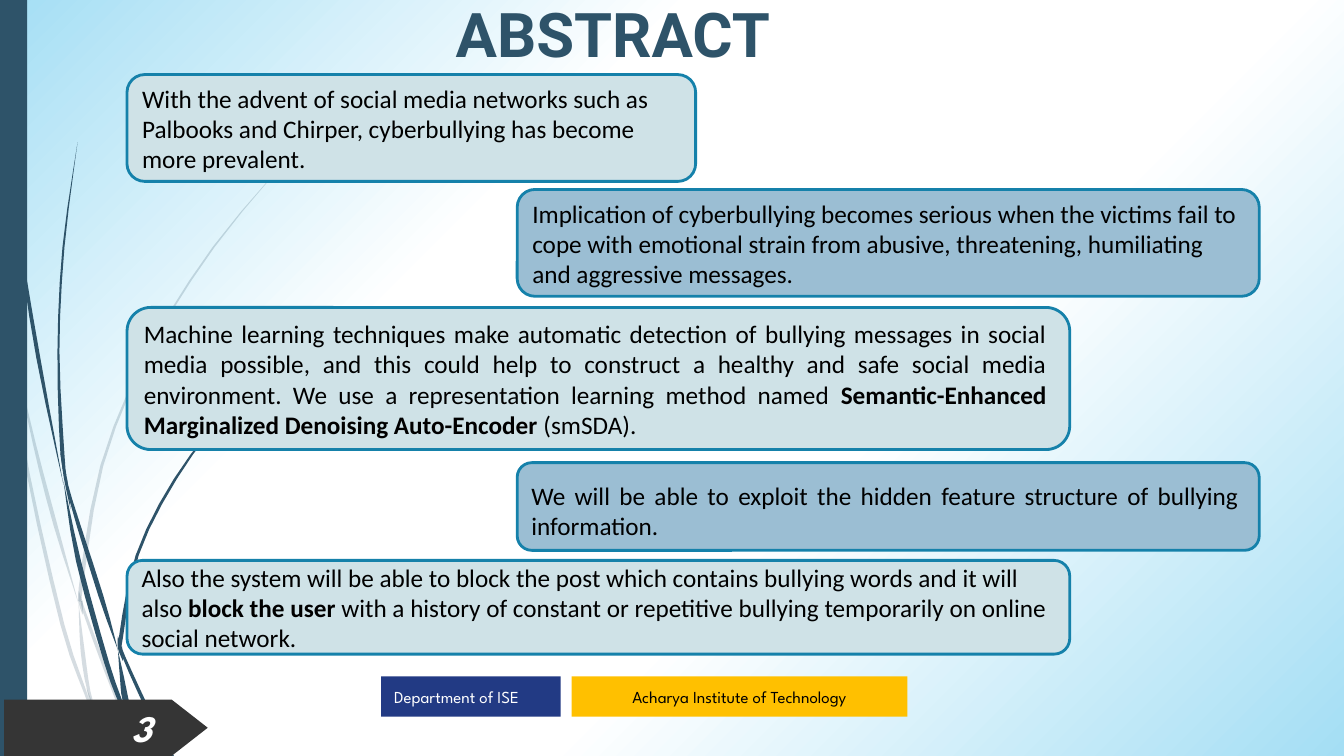
from pptx import Presentation
from pptx.dml.color import RGBColor
from pptx.enum.shapes import MSO_SHAPE
from pptx.enum.text import MSO_ANCHOR, MSO_AUTO_SIZE, PP_ALIGN
from pptx.oxml.ns import qn
from pptx.oxml.xmlchemy import OxmlElement
from pptx.util import Inches, Pt

SLATE = RGBColor(0x2E, 0x53, 0x69)
SKY = RGBColor(0xA4, 0xDE, 0xF4)
WHITE = RGBColor(0xFF, 0xFF, 0xFF)
BLACK = RGBColor(0, 0, 0)
PALE = RGBColor(0xCF, 0xE2, 0xE7)
STEEL = RGBColor(0x9B, 0xBE, 0xD3)
TEAL = RGBColor(0x15, 0x81, 0xAA)
GOLD = RGBColor(0xFF, 0xC0, 0x00)
NAVY = RGBColor(0x22, 0x3A, 0x84)
CHARCOAL = RGBColor(0x35, 0x35, 0x35)

WIDTH, HEIGHT = 13.33, 7.5
STEPS = 3  # line segments between two knots of a blade

# Blades of grass: knots of (centre x, y, horizontal width)
PALE_BLADES = [
    [(0, 2.82, 0), (0.04, 3.12, 0.03), (0.1, 3.5, 0)],
    [(0.13, 3.45, 0), (0.34, 4.4, 0.03), (0.55, 5.21, 0.04), (0.78, 5.99, 0)],
    [(0.82, 5.96, 0), (0.84, 6.08, 0.03), (1.16, 6.93, 0.04), (1.42, 7.5, 0.05)],
    [(0.97, 7.11, 0), (1.12, 7.5, 0.05)],
    [(0.1, 3.5, 0), (0.28, 4.7, 0.03), (0.62, 6.2, 0.04), (0.85, 6.88, 0.03), (0.94, 7.14, 0)],
    [(0.78, 5.99, 0), (0.82, 6.46, 0.04), (0.88, 6.85, 0.03), (0.97, 7.11, 0)],
    [(2.89, 1.53, 0), (2.12, 2.45, 0.02), (1.47, 3.49, 0.02), (1.01, 4.62, 0.03),
     (0.8, 5.84, 0.04), (0.82, 5.96, 0)],
    [(0.94, 7.14, 0), (1.08, 7.5, 0.04)],
    [(0.78, 5.86, 0), (0.8, 5.98, 0.04), (0.82, 6.1, 0)],
    [(0.86, 6.83, 0), (0.94, 7.08, 0.03), (1.1, 7.5, 0)],
]
DARK_BLADES = [
    [(0.04, 0, 0.01), (0.07, 1.1, 0.01), (0.19, 2.33, 0.02), (0.38, 3.55, 0.04),
     (0.63, 4.81, 0)],
    [(0.66, 4.72, 0), (0.7, 4.95, 0.03), (1, 5.91, 0.05), (1.17, 6.45, 0)],
    [(1.21, 6.41, 0), (1.23, 6.52, 0.03), (1.48, 7.07, 0.04), (1.7, 7.5, 0.05)],
    [(0.63, 4.77, 0), (0.78, 5.57, 0.05), (1.06, 6.58, 0.05), (1.21, 7, 0.04),
     (1.29, 7.22, 0)],
    [(0.77, 1.41, 0), (0.63, 2.45, 0.02), (0.58, 3.49, 0.02), (0.62, 4.51, 0.04),
     (0.66, 4.72, 0)],
    [(1.34, 7.19, 0), (1.48, 7.5, 0.03)],
    [(0.6, 4.49, 0), (0.65, 4.75, 0.03), (0.7, 5.05, 0)],
    [(2.87, 3.44, 0), (2.26, 4.06, 0.01), (1.74, 4.75, 0.03), (1.36, 5.51, 0.03),
     (1.2, 6.32, 0.04), (1.21, 6.41, 0)],
    [(1.29, 7.22, 0), (1.42, 7.5, 0.04)],
    [(1.17, 6.45, 0), (1.21, 6.72, 0.04), (1.25, 6.96, 0.06), (1.34, 7.19, 0)],
    [(1.17, 6.31, 0), (1.19, 6.43, 0.04), (1.22, 6.56, 0)],
    [(1.21, 6.91, 0), (1.3, 7.15, 0.04), (1.46, 7.5, 0.03)],
]

# Statements: left, top, width, height, colour, alignment, top inset, (text, bold) runs
ODD, EVEN = 1.26, 5.13
STATEMENTS = [
    (ODD, 0.74, 5.64, 1.06, PALE, PP_ALIGN.LEFT, 0.06, [
        ("With the advent of social media networks such as Palbooks and Chirper, "
         "cyberbullying has become more prevalent.", False)]),
    (EVEN, 1.88, 7.36, 1.06, STEEL, PP_ALIGN.LEFT, 0.06, [
        ("Implication of cyberbullying becomes serious when the victims fail to cope with "
         "emotional strain from abusive, threatening, humiliating and aggressive messages.",
         False)]),
    (ODD, 3.05, 9.35, 1.41, PALE, PP_ALIGN.JUSTIFY, 0.06, [
        ("Machine learning techniques make automatic detection of bullying messages in social "
         "media possible, and this could help to construct a healthy and safe social media "
         "environment. We use a representation learning method named ", False),
        ("Semantic-Enhanced Marginalized Denoising Auto-Encoder ", True),
        ("(smSDA).", False)]),
    (EVEN, 4.59, 7.36, 0.87, STEEL, PP_ALIGN.JUSTIFY, 0.13, [
        ("We will be able to exploit the hidden feature structure of bullying information.",
         False)]),
    (ODD, 5.56, 9.35, 0.93, PALE, PP_ALIGN.LEFT, 0.05, [
        ("Also the system will be able to block the post which contains bullying words "
         "and it will also ", False),
        ("block the user ", True),
        ("with a history of constant or repetitive bullying temporarily on online "
         "social network.", False)]),
]


def paint_background(s):
    fill = s.background.fill
    fill.gradient()
    fill.gradient_angle = 315
    stops = s.element.find(".//" + qn("a:gsLst"))
    for stop in list(stops):
        stops.remove(stop)
    for percent, color in [(0, SKY), (33, WHITE), (62, WHITE), (100, SKY)]:
        stop = OxmlElement("a:gs")
        stop.set("pos", str(percent * 1000))
        clr = OxmlElement("a:srgbClr")
        clr.set("val", str(color))
        stop.append(clr)
        stops.append(stop)


def paint(sp, color):
    sp.shadow.inherit = False
    sp.fill.solid()
    sp.fill.fore_color.rgb = color
    sp.line.fill.background()


def add_block(s, kind, box, color):
    sp = s.shapes.add_shape(kind, *map(Inches, box))
    paint(sp, color)
    return sp


def write(sp, runs, font, size, color, align, italic=False):
    tf = sp.text_frame
    tf.word_wrap = True
    tf.vertical_anchor = MSO_ANCHOR.MIDDLE
    p = tf.paragraphs[0]
    p.alignment = align
    for text, bold in runs:
        r = p.add_run()
        r.text = text
        r.font.name, r.font.size = font, Pt(size)
        r.font.bold, r.font.italic = bold, italic
        r.font.color.rgb = color


def spline(a, b, c, d, t):
    """Catmull-Rom value between b and c."""
    return (2 * b + (c - a) * t + (2 * a - 5 * b + 4 * c - d) * t ** 2
            + (3 * b - a - 3 * c + d) * t ** 3) / 2


def add_blade(group, knots, opacity):
    padded = [knots[0], *knots, knots[-1]]
    steps = STEPS if len(knots) > 2 else 1
    points = [tuple(spline(*axis, i / steps) for axis in zip(*padded[k:k + 4]))
              for k in range(len(knots) - 1) for i in range(steps)] + [knots[-1]]
    right = [(Inches(x + w / 2), Inches(y)) for x, y, w in points]
    left = [(Inches(x - w / 2), Inches(y)) for x, y, w in reversed(points)]
    builder = group.shapes.build_freeform(*right[0])
    builder.add_line_segments(right[1:] + left, close=True)
    sp = builder.convert_to_shape()
    paint(sp, SLATE)
    if opacity < 100:
        alpha = OxmlElement("a:alpha")
        alpha.set("val", str(opacity * 1000))
        sp.element.spPr.find(".//" + qn("a:srgbClr")).append(alpha)


def add_left_decoration(s):
    for blades, opacity in [(PALE_BLADES, 20), (DARK_BLADES, 100)]:
        group = s.shapes.add_group_shape()
        for knots in blades:
            add_blade(group, knots, opacity)
    add_block(s, MSO_SHAPE.RECTANGLE, (0, 0, 0.27, HEIGHT), SLATE)


def add_footer(s, left, top, height):
    # Department and institute labels
    labels = [("Department of ISE", 1.78, NAVY, WHITE, PP_ALIGN.LEFT),
              ("Acharya Institute of Technology", 3.33, GOLD, BLACK, PP_ALIGN.CENTER)]
    for text, width, fill, color, align in labels:
        sp = add_block(s, MSO_SHAPE.RECTANGLE, (left, top, width, height), fill)
        sp.text_frame.margin_left = sp.text_frame.margin_right = Inches(0.13)
        write(sp, [(text, False)], "League Spartan", 12, color, align)
        left += width + 0.11


def add_page_tag(s, left, top, width, height):
    tag = add_block(s, MSO_SHAPE.PENTAGON, (left, top, width, height), CHARCOAL)
    tag.adjustments[0] = 0.64
    number = s.shapes.add_textbox(*map(Inches, (left + 0.71, top + 0.08, 0.85, 0.4)))
    write(number, [("3", True)], "League Spartan", 26.7, WHITE, PP_ALIGN.RIGHT, italic=True)


def add_title(s, left, top, width, height):
    title = s.shapes.title
    title.left, title.top, title.width, title.height = map(Inches, (left, top, width, height))
    title.text_frame.auto_size = MSO_AUTO_SIZE.NONE
    write(title, [("ABSTRACT", True)], "Roboto", 44, SLATE, PP_ALIGN.CENTER)


def add_statement(s, left, top, width, height, color, align, inset, runs):
    sp = add_block(s, MSO_SHAPE.ROUNDED_RECTANGLE, (left, top, width, height), color)
    sp.line.color.rgb = TEAL
    sp.line.width = Pt(2)
    sp.text_frame.margin_top = Inches(inset)
    if align == PP_ALIGN.JUSTIFY:
        sp.text_frame.margin_right = Inches(0.16)
    write(sp, runs, "Calibri", 18, BLACK, align)


def main():
    prs = Presentation()
    prs.slide_width, prs.slide_height = Inches(WIDTH), Inches(HEIGHT)
    s = prs.slides.add_slide(prs.slide_layouts[5])
    paint_background(s)
    add_left_decoration(s)
    add_footer(s, 3.78, 6.71, 0.4)
    add_page_tag(s, 0.04, 6.94, 2.02, 0.56)
    add_title(s, 1.06, 0, 10.04, 0.66)
    for statement in STATEMENTS:
        add_statement(s, *statement)
    prs.save("out.pptx")


if __name__ == "__main__":
    main()
